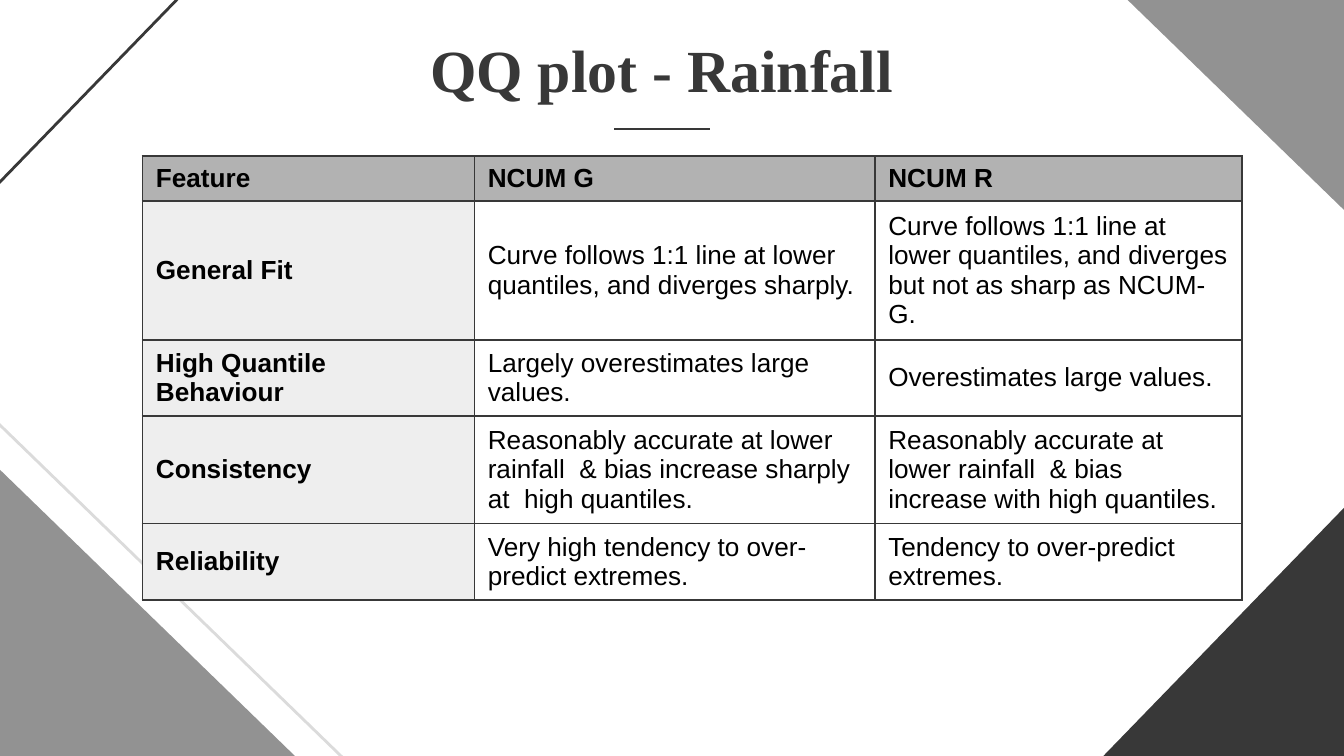
from dataclasses import dataclass
from typing import Optional

from lxml import etree
from pptx import Presentation
from pptx.dml.color import RGBColor
from pptx.enum import shapes, text
from pptx.oxml.ns import qn
from pptx.util import Inches, Pt


@dataclass(frozen=True)
class Theme:
    dark: str = "383838"
    grey: str = "929292"
    pale: str = "DBDBDB"
    header: str = "B2B2B2"
    label: str = "EEEEEE"
    black: str = "000000"
    title_font: str = "Times New Roman"
    body_font: str = "Arial"
    title_size: float = 32
    body_size: float = 14
    line: float = 1.5
    border: float = 1


@dataclass(frozen=True)
class Corner:
    """A right triangle that bleeds off one corner of the slide."""
    left: float
    top: float
    width: float = 3.72
    height: float = 3.61
    rotation: float = 0
    fill: Optional[str] = None
    line: Optional[str] = None


THEME = Theme()
CORNERS = [
    Corner(8, 3.53, 2.31, 2.24, rotation=270, fill=THEME.dark),
    Corner(-0.57, 2.61, line=THEME.pale),
    Corner(-0.81, 2.71, fill=THEME.grey),
    Corner(7.36, -1, rotation=180, fill=THEME.grey),
    Corner(-0.29, -2.07, rotation=90, line=THEME.dark),
]
TABLE_HEIGHT = 3.3
COLUMN_WIDTHS = [2.47, 2.98, 2.73]
ROW_HEIGHTS = [0.31, 0.77, 0.31, 0.77, 0.54]
ROWS = [
    ("Feature", "NCUM G", "NCUM R"),
    ("General Fit",
     "Curve follows 1:1 line at lower quantiles, and diverges sharply.",
     "Curve follows 1:1 line at lower quantiles, and diverges but not as sharp as NCUM-G."),
    ("High Quantile Behaviour",
     "Largely overestimates large values.",
     "Overestimates large values."),
    ("Consistency",
     "Reasonably accurate at lower rainfall  & bias increase sharply at  high quantiles.",
     "Reasonably accurate at lower rainfall  & bias increase with high quantiles."),
    ("Reliability",
     "Very high tendency to over-predict extremes.",
     "Tendency to over-predict extremes."),
]


def rgb(value: str) -> RGBColor:
    return RGBColor.from_string(value)


def write(tf, content: str, *, font: str = THEME.body_font, size: float = THEME.body_size,
          color: str = THEME.black, bold: bool = False, align=text.PP_ALIGN.LEFT) -> None:
    p = tf.paragraphs[0]
    p.alignment = align
    r = p.add_run()
    r.text = content
    r.font.name = font
    r.font.size = Pt(size)
    r.font.bold = bold
    r.font.color.rgb = rgb(color)


def paint(fill, color: Optional[str]) -> None:
    """Fill with a solid colour, or with nothing."""
    if color:
        fill.solid()
        fill.fore_color.rgb = rgb(color)
    else:
        fill.background()


def add_corner(s, corner: Corner) -> None:
    sp = s.shapes.add_shape(
        shapes.MSO_SHAPE.RIGHT_TRIANGLE, Inches(corner.left), Inches(corner.top),
        Inches(corner.width), Inches(corner.height))
    sp.rotation = corner.rotation
    sp.shadow.inherit = False
    paint(sp.fill, corner.fill)
    paint(sp.line.fill, corner.line)
    if corner.line:
        sp.line.width = Pt(THEME.line)


def add_title(s, content: str) -> None:
    box = s.shapes.add_textbox(Inches(0.71), Inches(0.14), Inches(8.43), Inches(0.58))
    tf = box.text_frame
    tf.word_wrap = True
    tf.margin_left = tf.margin_right = tf.margin_top = tf.margin_bottom = Inches(0.1)
    write(tf, content, font=THEME.title_font, size=THEME.title_size, color=THEME.dark,
          bold=True, align=text.PP_ALIGN.CENTER)


def add_rule(s) -> None:
    rule = s.shapes.add_connector(shapes.MSO_CONNECTOR.STRAIGHT, Inches(4.57), Inches(0.96),
                                  Inches(5.28), Inches(0.96))
    rule.line.color.rgb = rgb(THEME.dark)
    rule.line.width = Pt(THEME.line)
    etree.SubElement(rule._element.spPr, qn("a:effectLst"))


def add_borders(cell) -> None:
    tc_pr = cell._tc.get_or_add_tcPr()
    for i, side in enumerate(("lnL", "lnR", "lnT", "lnB")):
        ln = etree.Element(qn(f"a:{side}"), w=str(Pt(THEME.border)))
        solid = etree.SubElement(ln, qn("a:solidFill"))
        etree.SubElement(solid, qn("a:srgbClr"), val=THEME.dark)
        tc_pr.insert(i, ln)


def add_comparison(s) -> None:
    frame = s.shapes.add_table(
        len(ROWS), len(COLUMN_WIDTHS), Inches(1.06), Inches(1.16),
        Inches(sum(COLUMN_WIDTHS)), Inches(TABLE_HEIGHT))
    table = frame.table
    table.first_row = table.horz_banding = False
    for column, width in zip(table.columns, COLUMN_WIDTHS):
        column.width = Inches(width)
    for row, height in zip(table.rows, ROW_HEIGHTS):
        row.height = Inches(height)
    frame.height = Inches(TABLE_HEIGHT)
    for i, values in enumerate(ROWS):
        for j, value in enumerate(values):
            cell = table.cell(i, j)
            cell.vertical_anchor = text.MSO_ANCHOR.MIDDLE
            paint(cell.fill, THEME.header if i == 0 else THEME.label if j == 0 else None)
            add_borders(cell)
            write(cell.text_frame, value, bold=i == 0 or j == 0)


def main() -> None:
    prs = Presentation()
    prs.slide_width = Inches(10)
    prs.slide_height = prs.slide_width * 9 // 16
    s = prs.slides.add_slide(prs.slide_layouts[6])
    for corner in CORNERS:
        add_corner(s, corner)
    add_rule(s)
    add_title(s, "QQ plot - Rainfall")
    add_comparison(s)
    prs.save("out.pptx")


if __name__ == "__main__":
    main()
